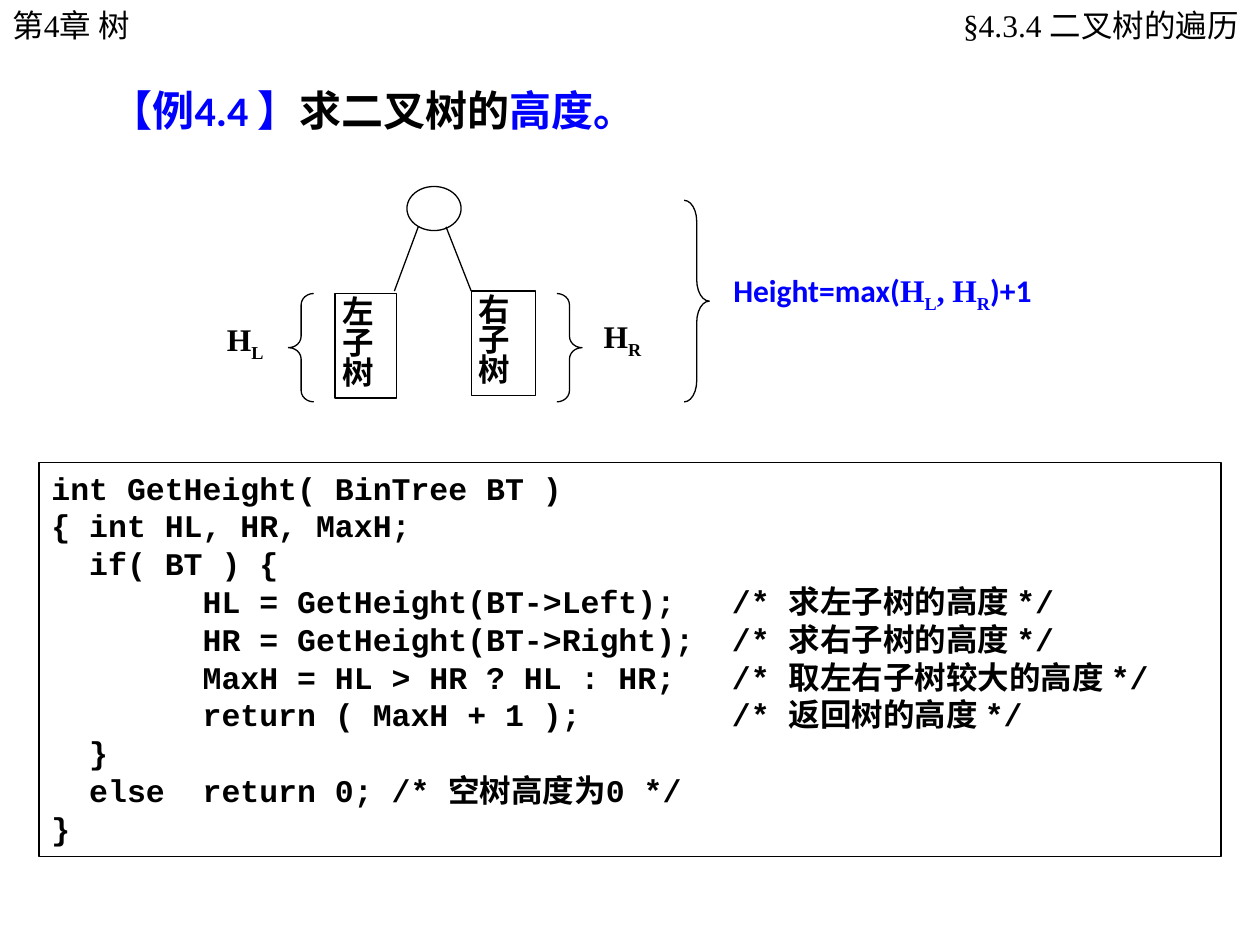
from lxml.etree import SubElement
from pptx import Presentation
from pptx.dml.color import RGBColor
from pptx.enum.shapes import MSO_CONNECTOR as Connector, MSO_SHAPE as Shape
from pptx.enum.text import MSO_ANCHOR as Anchor, PP_ALIGN as Align
from pptx.oxml.ns import qn
from pptx.util import Inches, Pt

COLORS = {"ink": "000000", "accent": "0000FF", "paper": "FFFFFF"}
SERIF, SANS, MONO, CJK = "Times New Roman", "Calibri", "Courier New", "Noto Sans CJK SC"
INSETS = (0.1, 0.05, 0.1, 0.05)
LABEL_INSETS = (0, 0.05, 0.02, 0.05)

# Content: runs are (text, font, colour, subscript)
CHAPTER = "第4章 树"
SECTION = "§4.3.4 二叉树的遍历"
TITLE = [("【例4.4 】", SANS, "accent", False),
         ("求二叉树的", SANS, "ink", False),
         ("高度。", SANS, "accent", False)]
FORMULA = [("Height=max(", SANS, "accent", False),
           ("H", SERIF, "accent", False), ("L", SERIF, "accent", True),
           (", H", SERIF, "accent", False), ("R", SERIF, "accent", True),
           (")+1", SANS, "accent", False)]
CODE = """int GetHeight( BinTree BT )
{ int HL, HR, MaxH;
  if( BT ) {
        HL = GetHeight(BT->Left);   /* 求左子树的高度 */
        HR = GetHeight(BT->Right);  /* 求右子树的高度 */
        MaxH = HL > HR ? HL : HR;   /* 取左右子树较大的高度 */
        return ( MaxH + 1 );        /* 返回树的高度 */
  }
  else  return 0; /* 空树高度为0 */
}""".splitlines()

# Tree parts: (left, top, width, height)
ROOT = (3.23, 1.48, 0.43, 0.35)
BRANCHES = [((3.32, 1.8), (3.13, 2.31)), ((3.54, 1.8), (3.74, 2.31))]
SUBTREES = [("左子树", (2.66, 2.33, 0.49, 0.83)), ("右子树", (3.74, 2.31, 0.51, 0.83))]
BRACES = [(Shape.LEFT_BRACE, (2.29, 2.33, 0.2, 0.86), 0.45),
          (Shape.RIGHT_BRACE, (4.42, 2.33, 0.2, 0.86), 0.45),
          (Shape.RIGHT_BRACE, (5.43, 1.59, 0.2, 1.6), 0.84)]
HEIGHTS = [("L", (1.8, 2.49, 0.35, 0.71)), ("R", (4.79, 2.47, 0.35, 0.71))]

prs = Presentation()
prs.slide_width, prs.slide_height = Inches(10), Inches(7.5)
slide = prs.slides.add_slide(prs.slide_layouts[6])


def color(name):
    return RGBColor.from_string(COLORS[name])


def add_part(kind, box, fill=None, outlined=True):
    part = slide.shapes.add_shape(kind, *map(Inches, box))
    part.shadow.inherit = False
    if fill:
        part.fill.solid()
        part.fill.fore_color.rgb = color(fill)
    else:
        part.fill.background()
    if outlined:
        part.line.color.rgb = color("ink")
        part.line.width = Pt(0.75)
    else:
        part.line.fill.background()
    return part


def add_text_area(box):
    return slide.shapes.add_textbox(*map(Inches, box))


def write(part, lines, size=18, bold=True, align=Align.JUSTIFY, insets=INSETS,
          spacing=None, wrap=True):
    frame = part.text_frame
    frame.word_wrap = wrap
    frame.vertical_anchor = Anchor.TOP
    (frame.margin_left, frame.margin_top,
     frame.margin_right, frame.margin_bottom) = map(Inches, insets)
    for i, runs in enumerate(lines):
        paragraph = frame.add_paragraph() if i else frame.paragraphs[0]
        paragraph.alignment = align
        if spacing:
            paragraph.line_spacing = spacing
        for text, face, ink, subscript in runs:
            run = paragraph.add_run()
            run.text = text
            font = run.font
            font.name, font.size, font.bold = face, Pt(size), bold
            font.color.rgb = color(ink)
            props = run._r.get_or_add_rPr()
            SubElement(props, qn("a:ea")).set("typeface", CJK)
            if subscript:
                props.set("baseline", "-25000")


# Title
write(add_text_area((0.78, 0.62, 4.43, 0.5)), [TITLE], size=24, align=Align.LEFT, wrap=False)

# Code listing
write(add_part(Shape.RECTANGLE, (0.31, 3.67, 9.38, 3.13)),
      [[(line, MONO, "ink", False)] for line in CODE])

# Page header
write(add_text_area((0, 0, 2.09, 0.4)), [[(CHAPTER, SERIF, "ink", False)]],
      bold=False, align=Align.LEFT)
write(add_text_area((6.18, 0, 3.81, 0.4)), [[(SECTION, SERIF, "ink", False)]],
      bold=False, align=Align.RIGHT, insets=(0.12, 0.05, 0.16, 0.05))

# Tree: root, branches and subtrees
add_part(Shape.OVAL, ROOT, fill="paper")
for start, end in BRANCHES:
    branch = slide.shapes.add_connector(Connector.STRAIGHT, *map(Inches, start + end))
    branch.line.color.rgb = color("ink")
    branch.line.width = Pt(0.75)
    SubElement(branch._element.spPr, qn("a:effectLst"))
for name, box in SUBTREES:
    write(add_part(Shape.RECTANGLE, box, fill="paper"), [[(name, CJK, "ink", False)]],
          insets=(0.06, 0.05, 0.06, 0.05), spacing=0.8)

# Height braces and labels
for kind, box, curl in BRACES:
    brace = add_part(kind, box)
    brace.adjustments[0] = curl
    brace.adjustments[1] = 0.5
for side, box in HEIGHTS:
    write(add_part(Shape.RECTANGLE, box, fill="paper", outlined=False),
          [[("H", SERIF, "ink", False), (side, SERIF, "ink", True)]], insets=LABEL_INSETS)
write(add_part(Shape.RECTANGLE, (5.82, 2.1, 2.54, 0.4), fill="paper", outlined=False),
      [FORMULA], insets=LABEL_INSETS)

prs.save("out.pptx")
